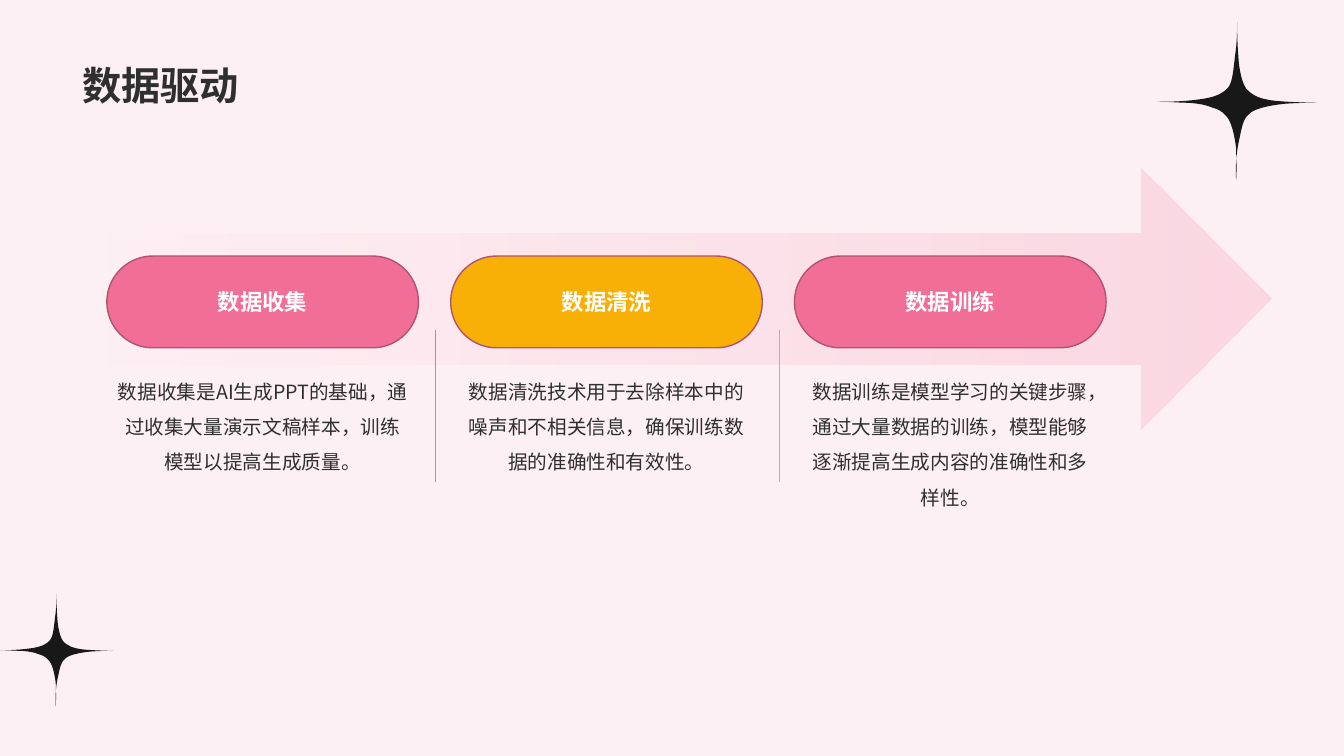
"""Build the data-driven process slide."""
from lxml.etree import SubElement
from pptx import Presentation
from pptx.dml.color import RGBColor
from pptx.enum.shapes import MSO_CONNECTOR, MSO_SHAPE
from pptx.enum.text import MSO_ANCHOR, MSO_AUTO_SIZE, PP_ALIGN
from pptx.oxml.ns import qn
from pptx.util import Inches, Pt

FONT = "Noto Sans CJK SC"
BACKGROUND = RGBColor(0xFD, 0xF0, 0xF4)
PINK = RGBColor(0xF1, 0x6F, 0x97)
AMBER = RGBColor(0xF9, 0xB0, 0x06)
OUTLINE = RGBColor(0xB2, 0x52, 0x70)
INK = RGBColor(0x2F, 0x2F, 0x2F)
STAR = RGBColor(0x18, 0x18, 0x18)
WHITE = RGBColor(0xFF, 0xFF, 0xFF)

STEP_LEFT, STEP_PITCH, STEP_WIDTH = 1.06, 3.41, 3.09
STEPS = [
    ("数据收集", PINK, "数据收集是AI生成PPT的基础，通过收集大量演示文稿样本，训练模型以提高生成质量。"),
    ("数据清洗", AMBER, "数据清洗技术用于去除样本中的噪声和不相关信息，确保训练数据的准确性和有效性。"),
    ("数据训练", PINK, "数据训练是模型学习的关键步骤，通过大量数据的训练，模型能够逐渐提高生成内容的准确性和多样性。"),
]
DIVIDERS = [(PINK, 0.5), (AMBER, 0.75)]

STAR_SIZE = 1.58
STAR_START = (0.79, 0)
STAR_CURVES = [
    ((0.79, 0.08), (0.79, 0.2), (0.77, 0.33)),
    ((0.75, 0.51), (0.74, 0.6), (0.7, 0.65)),
    ((0.62, 0.74), (0.5, 0.76), (0.29, 0.78)),
    ((0.17, 0.79), (0.07, 0.79), (0, 0.79)),
    ((0.12, 0.79), (0.22, 0.8), (0.31, 0.8)),
    ((0.42, 0.81), (0.48, 0.82), (0.55, 0.85)),
    ((0.59, 0.86), (0.64, 0.88), (0.68, 0.93)),
    ((0.7, 0.95), (0.75, 1.01), (0.78, 1.25)),
    ((0.78, 1.33), (0.79, 1.44), (0.78, 1.57)),
    ((0.77, 1.4), (0.79, 1.26), (0.81, 1.17)),
    ((0.84, 1.03), (0.85, 0.96), (0.91, 0.91)),
    ((0.93, 0.89), (0.99, 0.84), (1.26, 0.81)),
    ((1.39, 0.8), (1.5, 0.8), (1.58, 0.8)),
    ((1.53, 0.8), (1.17, 0.79), (1.1, 0.77)),
    ((1.04, 0.76), (0.95, 0.74), (0.88, 0.66)),
    ((0.85, 0.61), (0.83, 0.56), (0.81, 0.43)),
    ((0.8, 0.33), (0.79, 0.18), (0.79, 0)),
]


def bend_segments(shape):
    """Turn every three line segments of a freeform into one cubic curve."""
    segments = list(shape._element.spPr.iter(qn("a:lnTo")))
    for index in range(0, len(segments) - 2, 3):
        curve = segments[index].makeelement(qn("a:cubicBezTo"))
        segments[index].addprevious(curve)
        for segment in segments[index:index + 3]:
            curve.append(segment[0])
            segment.getparent().remove(segment)


def add_star(slide, left, top, size):
    """Add a four-pointed star."""
    scale = size / STAR_SIZE

    def place(point):
        """Return a star point in slide lengths."""
        return Inches(left + point[0] * scale), Inches(top + point[1] * scale)

    builder = slide.shapes.build_freeform(*place(STAR_START))
    builder.add_line_segments([place(point) for curve in STAR_CURVES for point in curve])
    star = builder.convert_to_shape()
    bend_segments(star)
    star.shadow.inherit = False
    star.fill.solid()
    star.fill.fore_color.rgb = STAR
    star.line.fill.background()


def add_fading_arrow(slide):
    """Add the wide arrow that fades in from the left."""
    arrow = slide.shapes.add_shape(
        MSO_SHAPE.RIGHT_ARROW, Inches(0.73), Inches(1.66), Inches(11.88), Inches(2.6))
    arrow.shadow.inherit = False
    arrow.line.fill.background()
    arrow.fill.gradient()
    arrow.fill.gradient_angle = 0
    for stop in arrow.fill.gradient_stops:
        stop.color.rgb = PINK
    colors = arrow._element.spPr.iter(qn("a:srgbClr"))
    for color, opacity in zip(list(colors), (0, 20)):
        SubElement(color, qn("a:alpha")).set("val", str(opacity * 1000))


def add_divider(slide, x, color, width):
    """Add a thin vertical line between two steps."""
    divider = slide.shapes.add_connector(
        MSO_CONNECTOR.STRAIGHT, Inches(x), Inches(3.27), Inches(x), Inches(4.78))
    divider.line.color.rgb = color
    divider.line.width = Pt(width)
    SubElement(divider._element.spPr, qn("a:effectLst"))


def write_text(shape, text, size, color, bold=False, align=PP_ALIGN.CENTER):
    """Write one paragraph into a shape and return it."""
    shape.text_frame.word_wrap = True
    paragraph = shape.text_frame.paragraphs[0]
    paragraph.text = text
    paragraph.alignment = align
    font = paragraph.font
    font.name = FONT
    font.size = Pt(size)
    font.bold = bold
    font.color.rgb = color
    SubElement(paragraph._p.pPr.find(qn("a:defRPr")), qn("a:ea")).set("typeface", FONT)
    return paragraph


def add_title(slide, text):
    """Add the slide title."""
    title = slide.shapes.add_textbox(Inches(0.72), Inches(0.14), Inches(11.88), Inches(0.98))
    title.text_frame.vertical_anchor = MSO_ANCHOR.BOTTOM
    write_text(title, text, 28, INK, True, PP_ALIGN.LEFT)


def add_step(slide, left, heading, color, description):
    """Add a step pill with its description below."""
    pill = slide.shapes.add_shape(
        MSO_SHAPE.ROUNDED_RECTANGLE, Inches(left), Inches(2.54), Inches(STEP_WIDTH), Inches(0.91))
    pill.adjustments[0] = 0.5
    pill.shadow.inherit = False
    pill.fill.solid()
    pill.fill.fore_color.rgb = color
    pill.line.color.rgb = OUTLINE
    pill.line.width = Pt(1)
    pill.text_frame.vertical_anchor = MSO_ANCHOR.MIDDLE
    write_text(pill, heading, 16, WHITE, True)

    body = slide.shapes.add_textbox(Inches(left), Inches(3.6), Inches(STEP_WIDTH), Inches(0.89))
    body.text_frame.auto_size = MSO_AUTO_SIZE.SHAPE_TO_FIT_TEXT
    write_text(body, description, 14, INK).line_spacing = 1.5


def main():
    """Build and save the presentation."""
    presentation = Presentation()
    presentation.slide_width = Inches(13.33)
    presentation.slide_height = Inches(7.5)
    slide = presentation.slides.add_slide(presentation.slide_layouts[6])
    slide.background.fill.solid()
    slide.background.fill.fore_color.rgb = BACKGROUND

    add_star(slide, 11.48, 0.22, STAR_SIZE)
    add_star(slide, 0, 5.89, 1.12)
    add_fading_arrow(slide)
    for index, (color, width) in enumerate(DIVIDERS):
        add_divider(slide, 4.32 + index * STEP_PITCH, color, width)
    for index, step in enumerate(STEPS):
        add_step(slide, STEP_LEFT + index * STEP_PITCH, *step)
    add_title(slide, "数据驱动")
    presentation.save("out.pptx")


if __name__ == "__main__":
    main()
